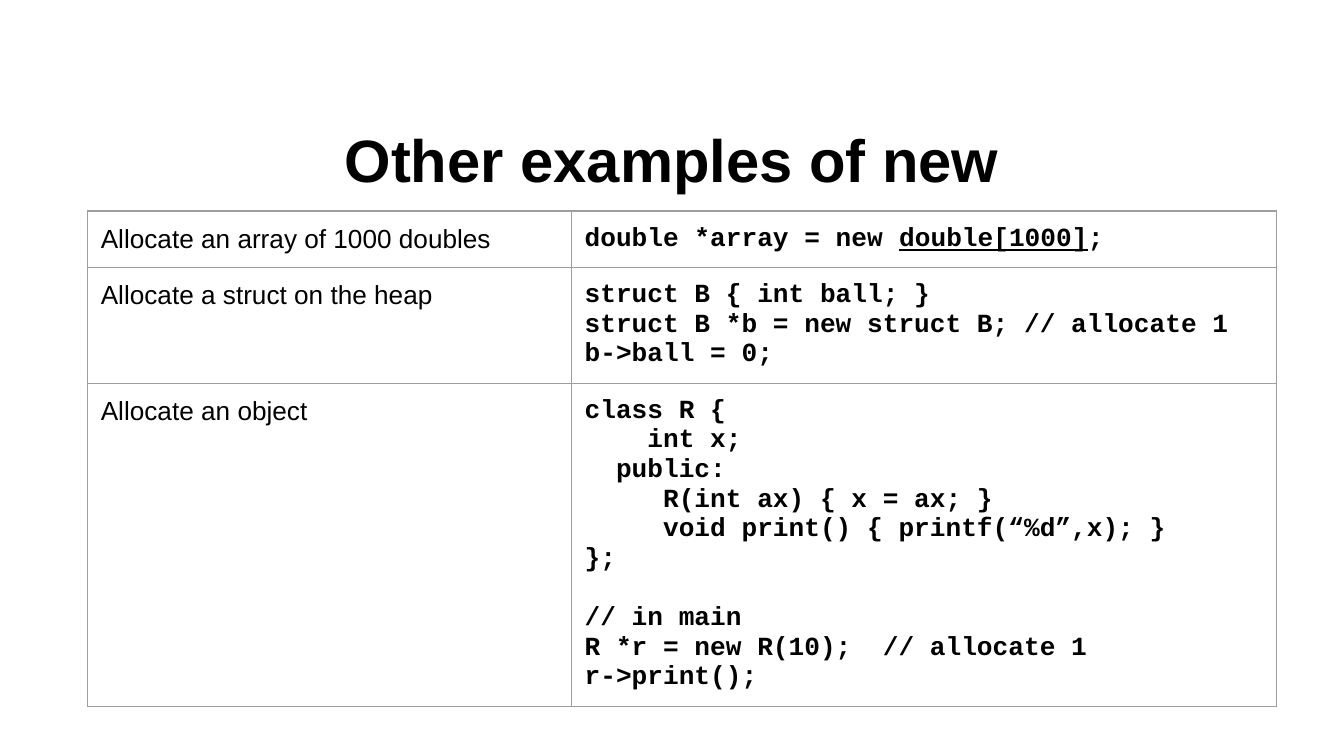
from lxml import etree
from pptx import Presentation
from pptx.dml.color import RGBColor
from pptx.enum.text import MSO_ANCHOR, PP_ALIGN
from pptx.oxml.ns import qn
from pptx.util import Inches, Pt

MIDDLE, TOP = MSO_ANCHOR.MIDDLE, MSO_ANCHOR.TOP
CENTER = PP_ALIGN.CENTER
BLACK = RGBColor(0x00, 0x00, 0x00)
GRAY = RGBColor(0x9E, 0x9E, 0x9E)
TITLE_ONLY = 5
MARGIN = Inches(0.1)
CODE_LINE = Pt(16)

COLUMN_WIDTHS = [3.6, 5.25]
ROW_HEIGHTS = [0.42, 0.86, 2.4]
UNDERLINED = "double[1000]"
SECTION_START = "// in main"
EXAMPLES = [
    ("Allocate an array of 1000 doubles",
     ["double *array = new double[1000];"]),
    ("Allocate a struct on the heap",
     ["struct B { int ball; }",
      "struct B *b = new struct B; // allocate 1",
      "b->ball = 0;"]),
    ("Allocate an object",
     ["class R {",
      "    int x;",
      "  public:",
      "     R(int ax) { x = ax; }",
      "     void print() { printf(“%d”,x); }",
      "};",
      SECTION_START,
      "R *r = new R(10);  // allocate 1",
      "r->print();"]),
]


def add_run(p, text, font, size, bold=False):
    r = p.add_run()
    r.text = text
    r.font.name = font
    r.font.size = Pt(size)
    r.font.bold = bold
    r.font.color.rgb = BLACK
    return r


def set_margins(box):
    box.margin_left = box.margin_right = MARGIN
    box.margin_top = box.margin_bottom = MARGIN


def add_borders(cell):
    props = cell._tc.get_or_add_tcPr()
    for side in ("a:lnL", "a:lnR", "a:lnT", "a:lnB"):
        line = etree.SubElement(props, qn(side), w=str(Pt(0.75)))
        fill = etree.SubElement(line, qn("a:solidFill"))
        etree.SubElement(fill, qn("a:srgbClr"), val=str(GRAY))


def add_code(tf, lines):
    for i, line in enumerate(lines):
        p = tf.add_paragraph() if i else tf.paragraphs[0]
        if line == SECTION_START:
            p.space_before = CODE_LINE
        for j, part in enumerate(line.partition(UNDERLINED)):
            if part:
                r = add_run(p, part, "Courier New", 14, bold=True)
                if j == 1:
                    r.font.underline = True


def add_title(s, left, top, width, height):
    title = s.shapes.title
    title.left, title.top = Inches(left), Inches(top)
    title.width, title.height = Inches(width), Inches(height)
    tf = title.text_frame
    tf.word_wrap = True
    tf.vertical_anchor = MIDDLE
    set_margins(tf)
    p = tf.paragraphs[0]
    p.alignment = CENTER
    add_run(p, "Other examples of new", "Arial", 32, bold=True)


def add_examples(s, left, top):
    table = s.shapes.add_table(
        len(EXAMPLES), len(COLUMN_WIDTHS), Inches(left), Inches(top),
        Inches(sum(COLUMN_WIDTHS)), Inches(sum(ROW_HEIGHTS))).table
    table.first_row = False
    table.horz_banding = False
    for column, width in zip(table.columns, COLUMN_WIDTHS):
        column.width = Inches(width)
    for row, height, (task, code) in zip(table.rows, ROW_HEIGHTS, EXAMPLES):
        row.height = Inches(height)
        task_cell, code_cell = row.cells
        for cell in (task_cell, code_cell):
            set_margins(cell)
            cell.vertical_anchor = TOP
            add_borders(cell)
            cell.fill.background()
        add_run(task_cell.text_frame.paragraphs[0], task, "Arial", 14)
        add_code(code_cell.text_frame, code)


def main():
    prs = Presentation()
    prs.slide_width = Inches(10)
    prs.slide_height = prs.slide_width * 9 // 16
    s = prs.slides.add_slide(prs.slide_layouts[TITLE_ONLY])
    add_title(s, 0.5, 0.74, 9, 0.88)
    add_examples(s, 0.65, 1.57)
    prs.save("out.pptx")


if __name__ == "__main__":
    main()
